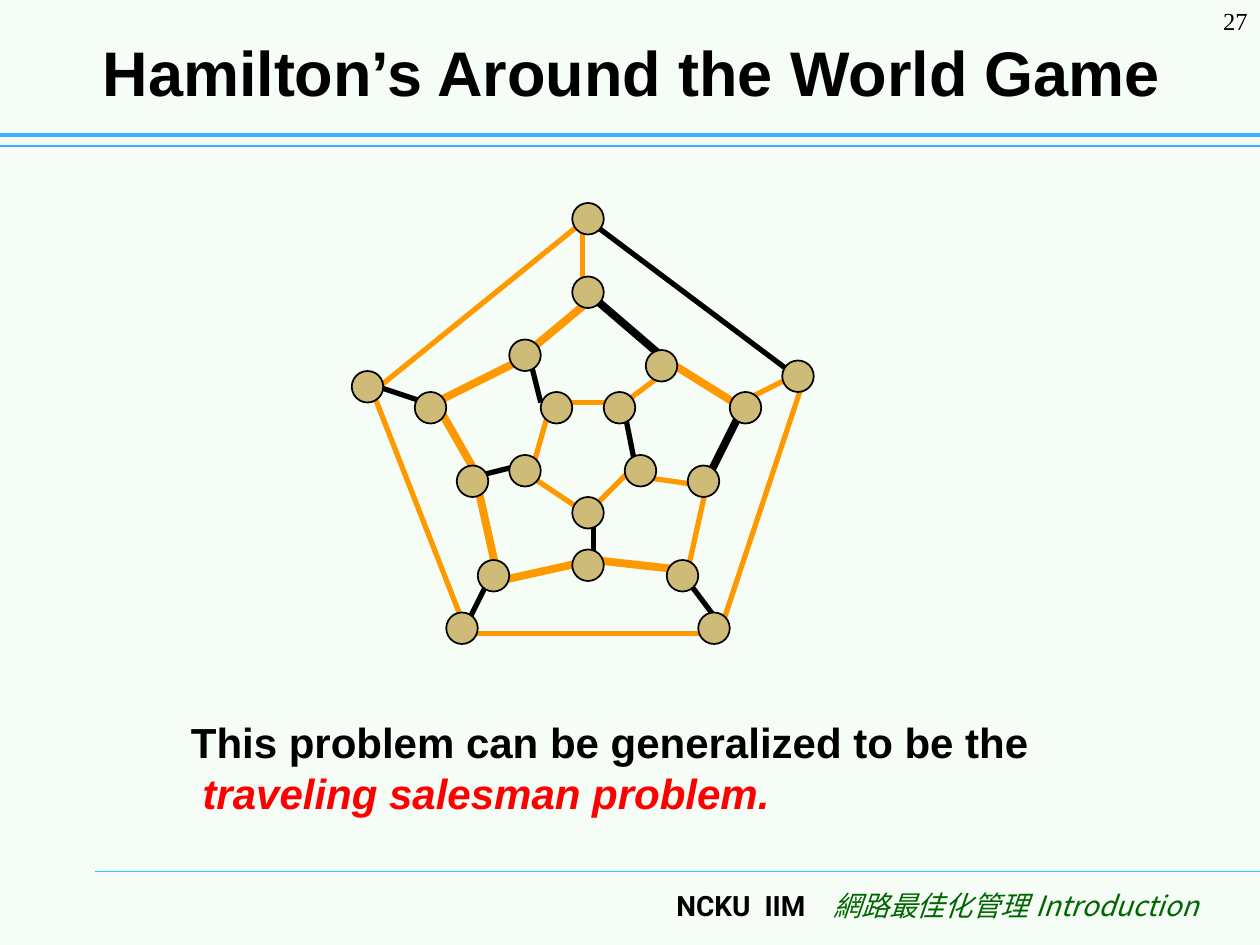
from dataclasses import dataclass
from typing import NamedTuple

from lxml.etree import SubElement
from pptx import Presentation
from pptx.dml.color import RGBColor
from pptx.enum.shapes import MSO_CONNECTOR as Connector, MSO_SHAPE as Shape
from pptx.enum.text import MSO_ANCHOR as Anchor, PP_ALIGN as Align
from pptx.oxml.ns import qn
from pptx.util import Pt


@dataclass(frozen=True)
class Theme:
    background: str = "F6FCF6"
    ink: str = "000000"
    rule: str = "3DB0FF"
    footer_rule: str = "33CCFF"
    tour: str = "FF9900"
    node: str = "CDBB77"
    accent: str = "FF0000"
    course: str = "006600"
    title_size: int = 36
    body_size: int = 24
    footer_size: int = 16
    number_size: int = 14
    sans: str = "Arial"
    serif: str = "Times New Roman"
    footer_font: str = "Roboto"
    course_font: str = "Noto Sans CJK SC"


THEME = Theme()
THIN, THICK = 3, 4.5


class Box(NamedTuple):
    left: float
    top: float
    width: float
    height: float


class Cell(NamedTuple):
    """A crossing of the 6 pt grid on which the graph is drawn."""
    col: int
    row: int

    @property
    def point(self) -> tuple[int, int]:
        return 3 + 6 * self.col, 2 + 6 * self.row


class Edge(NamedTuple):
    start: Cell
    end: Cell
    color: str
    width: float


class Run(NamedTuple):
    text: str
    size: int
    font: str
    color: str = THEME.ink
    bold: bool = False
    italic: bool = False
    spacing: int = 0


def edges(color: str, width: float, *ends: tuple[int, int, int, int]) -> list[Edge]:
    return [Edge(Cell(a, b), Cell(c, d), color, width) for a, b, c, d in ends]


EDGES = [
    *edges(THEME.tour, THICK,
           (56, 28, 50, 33), (49, 34, 41, 38), (41, 38, 45, 45), (45, 46, 47, 55),
           (47, 55, 56, 53), (56, 53, 65, 54), (71, 39, 63, 34)),
    *edges(THEME.tour, THIN,
           (65, 54, 67, 45), (52, 38, 58, 38), (60, 44, 56, 48), (56, 49, 50, 45),
           (50, 45, 52, 38), (35, 37, 56, 20), (76, 36, 68, 60), (68, 60, 44, 60),
           (44, 60, 35, 37), (55, 20, 55, 27), (76, 35, 70, 38), (59, 38, 63, 35),
           (60, 45, 67, 46)),
    *edges(THEME.ink, THICK, (67, 45, 70, 39), (63, 34, 56, 28)),
    *edges(THEME.ink, THIN,
           (59, 39, 60, 44), (56, 21, 76, 36), (34, 36, 40, 38), (44, 59, 46, 55),
           (68, 59, 65, 55), (45, 45, 49, 44), (50, 34, 51, 38), (56, 49, 56, 53)),
]

# Top left corner of each node, ring by ring
NODES = [Cell(*corner) for corner in (
    (54, 19), (74, 34), (66, 58), (42, 58), (33, 35),
    (54, 26), (61, 33), (69, 37), (65, 44), (63, 53),
    (54, 52), (45, 53), (43, 44), (39, 37), (48, 32),
    (51, 37), (57, 37), (59, 43), (54, 47), (48, 43),
)]


def draw_line(slide, start: tuple, end: tuple, color: str, width: float) -> None:
    s = slide.shapes.add_connector(Connector.STRAIGHT, *map(Pt, start + end))
    s.line.color.rgb = RGBColor.from_string(color)
    s.line.width = Pt(width)
    SubElement(s._element.spPr, qn("a:effectLst"))


def draw_node(slide, corner: Cell) -> None:
    x, y = corner.point
    s = slide.shapes.add_shape(Shape.OVAL, Pt(x), Pt(y), Pt(18), Pt(18))
    s.shadow.inherit = False
    s.fill.solid()
    s.fill.fore_color.rgb = RGBColor.from_string(THEME.node)
    s.line.color.rgb = RGBColor.from_string(THEME.ink)
    s.line.width = Pt(1)


def add_run(p, run: Run) -> None:
    r = p.add_run()
    r.text = run.text
    r.font.size = Pt(run.size)
    r.font.name = run.font
    r.font.bold = run.bold
    r.font.italic = run.italic
    r.font.color.rgb = RGBColor.from_string(run.color)
    props = r._r.get_or_add_rPr()
    SubElement(props, qn("a:ea")).set("typeface", run.font)
    if run.spacing:
        props.set("spc", str(run.spacing * 100))


def add_text(slide, box: Box, lines: list[list[Run]], align: Align = Align.LEFT,
             anchor: Anchor = Anchor.TOP) -> None:
    """Add one paragraph whose lines are parted by line breaks."""
    tf = slide.shapes.add_textbox(*map(Pt, box)).text_frame
    tf.word_wrap = True
    tf.vertical_anchor = anchor
    p = tf.paragraphs[0]
    p.alignment = align
    for i, line in enumerate(lines):
        if i:
            p.add_line_break()
        for run in line:
            add_run(p, run)


def main() -> None:
    t = THEME
    prs = Presentation()
    prs.slide_width, prs.slide_height = Pt(720), Pt(540)
    slide = prs.slides.add_slide(prs.slide_layouts[6])
    slide.background.fill.solid()
    slide.background.fill.fore_color.rgb = RGBColor.from_string(t.background)

    draw_line(slide, (54, 498), (720, 498), t.footer_rule, 0.75)
    draw_line(slide, (0, 83.5), (720, 83.5), t.rule, 0.75)
    draw_line(slide, (0, 77), (720, 77), t.rule, 2.5)

    def footer(text: str, spacing: int = 0) -> Run:
        return Run(text, t.footer_size, t.footer_font, bold=True, spacing=spacing)

    course = Run("網路最佳化管理 Introduction", t.footer_size, t.course_font,
                 t.course, italic=True)
    add_text(slide, Box(132, 504, 560, 36),
             [[footer("NCKU"), footer(" ", 4), footer("IIM"), footer(" ", 12), course]],
             Align.RIGHT)
    add_text(slide, Box(660, 0, 60, 36), [[Run("27", t.number_size, t.serif)]],
             Align.RIGHT)

    for edge in EDGES:
        draw_line(slide, edge.start.point, edge.end.point, edge.color, edge.width)
    add_text(slide, Box(37, 9.5, 648, 62.5),
             [[Run("Hamilton’s Around the World Game", t.title_size, t.sans, bold=True)]],
             Align.CENTER, Anchor.MIDDLE)
    for corner in NODES:
        draw_node(slide, corner)

    add_text(slide, Box(102, 406, 516, 65), [
        [Run("This problem can be generalized to be the", t.body_size, t.sans, bold=True)],
        [Run(" ", t.body_size, t.sans, bold=True),
         Run("traveling salesman problem.", t.body_size, t.sans, t.accent, True, True)],
    ])
    prs.save("out.pptx")


if __name__ == "__main__":
    main()
